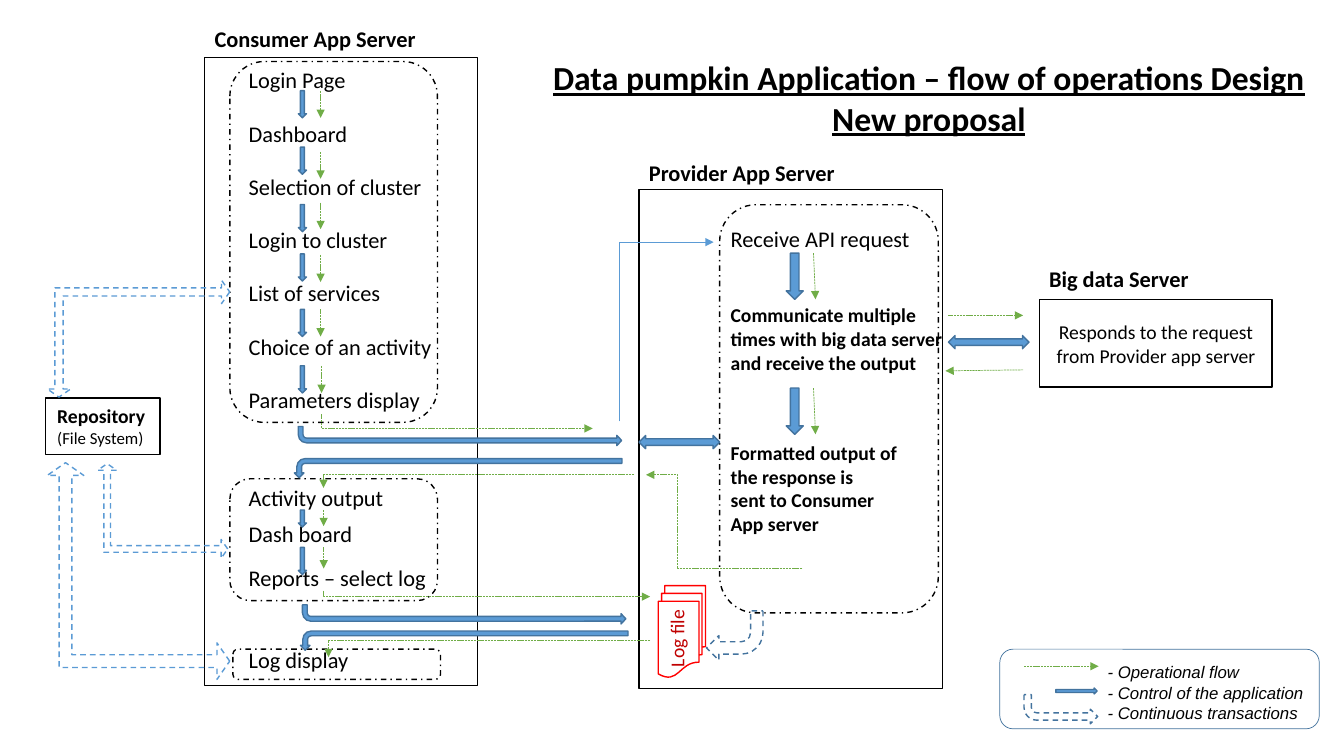
from pptx import Presentation
from pptx import util as u
from pptx.dml.color import RGBColor
from pptx.enum import dml, shapes, text
from pptx.oxml import ns
from lxml import etree

Pt = u.Pt
Kind = shapes.MSO_SHAPE
Dash = dml.MSO_LINE
Side = text.PP_ALIGN
BLACK = RGBColor(0, 0, 0)
BLUE = RGBColor(0x5B, 0x9B, 0xD5)
NAVY = RGBColor(0x43, 0x73, 0x9E)
GREEN = RGBColor(0x70, 0xAD, 0x47)
RED = RGBColor(0xFF, 0, 0)
MAROON = RGBColor(0xC0, 0, 0)
HOOK = (0.07, 0.1, 0.07)
ELBOW = (0.25, 0.27, 0.25, 0.44)


def label(page, lines, box, size=16, font="Calibri", color=BLACK, bold=False,
          italic=False, line=False, side=Side.LEFT, wrap=False, rot=0):
    note = page.shapes.add_textbox(*map(Pt, box))
    note.rotation = rot
    frame = note.text_frame
    frame.word_wrap = wrap
    for i, item in enumerate(lines):
        words, gap, form = item if isinstance(item, tuple) else (item, 0, {})
        para = frame.paragraphs[0] if i == 0 else frame.add_paragraph()
        para.alignment = side
        para.space_before = Pt(gap)
        run = para.add_run()
        run.text = words
        face = run.font
        face.name = font
        face.size = Pt(form.get("size", size))
        face.bold = form.get("bold", bold)
        face.italic = italic
        face.underline = line
        face.color.rgb = color


def draw(page, kind, box, fill=None, line=BLACK, width=1, dash=None,
         rot=0, flip="", adj=()):
    item = page.shapes.add_shape(kind, *map(Pt, box))
    item.shadow.inherit = False
    item.rotation = rot
    for axis in flip:
        item._element.spPr.xfrm.set("flip" + axis, "1")
    for i, value in enumerate(adj):
        item.adjustments[i] = value
    if fill is None:
        item.fill.background()
    else:
        item.fill.solid()
        item.fill.fore_color.rgb = fill
    item.line.color.rgb = line
    item.line.width = Pt(width)
    if dash:
        item.line.dash_style = dash


def solid(page, kind, box, **form):
    draw(page, kind, box, fill=BLUE, line=NAVY, **form)


def wire(page, start, end, color=GREEN, dash=Dash.SQUARE_DOT, bend=None):
    types = shapes.MSO_CONNECTOR
    kind = types.STRAIGHT if bend is None else types.ELBOW
    link = page.shapes.add_connector(kind, *map(Pt, (*start, *end)))
    link.line.color.rgb = color
    link.line.width = Pt(0.5)
    if dash:
        link.line.dash_style = dash
    props = link._element.spPr
    head = etree.SubElement(link.line._get_or_add_ln(), ns.qn("a:tailEnd"))
    head.set("type", "triangle")
    etree.SubElement(props, ns.qn("a:effectLst"))
    if bend is not None:
        geom = props.find(ns.qn("a:prstGeom"))
        vals = geom.find(ns.qn("a:avLst"))
        if vals is None:
            vals = etree.SubElement(geom, ns.qn("a:avLst"))
        guide = etree.SubElement(vals, ns.qn("a:gd"))
        guide.set("name", "adj1")
        guide.set("fmla", f"val {round(bend * 100000)}")


def title(page, box):
    label(page, ["Data pumpkin Application – flow of operations Design",
                 "New proposal"], box, size=24, bold=True, line=True,
          side=Side.CENTER)


def consumer(page, box):
    x, y, w, h = box
    draw(page, Kind.RECTANGLE, box)
    label(page, ["Consumer App Server"], (x, y - 26.6, 164, 26.6), bold=True)
    steps = [("Login Page", 0)]
    steps += [(name, 18.9) for name in (
        "Dashboard", "Selection of cluster", "Login to cluster",
        "List of services", "Choice of an activity", "Parameters display")]
    steps += [("Activity output", 50.6), ("Dash board", 7),
              ("Reports – select log", 12), ("Log display", 39.2)]
    label(page, [(name, gap, {}) for name, gap in steps],
          (x + 24.4, y + 2.9, 147, 452))
    for left, top, high in ((18, 2.9, 257.8), (18, 301, 87), (20.2, 422.7, 21.6)):
        draw(page, Kind.ROUNDED_RECTANGLE, (x + left, y + top, 148.3, high),
             dash=Dash.DASH_DOT)
    for top, high, start, run, left in (
            (23.8, 19.4, 23.8, 19.4, 82.8), (64.1, 19.4, 67.7, 19, 82.8),
            (105.1, 19.4, 103.7, 19, 82.8), (140.4, 19.4, 141.1, 19.4, 82.8),
            (180, 19.4, 180, 19.4, 82.8), (220.3, 19.4, 220.3, 19.4, 83.5),
            (323.3, 12.2, 323.3, 11.5, 85), (350, 19.4, 350, 15.1, 85)):
        solid(page, Kind.DOWN_ARROW, (x + 66.9, y + top, 5.8, high))
        wire(page, (x + left, y + start), (x + left, y + start + run))


def provider(page, box):
    x, y, w, h = box
    draw(page, Kind.RECTANGLE, box)
    label(page, ["Provider App Server"], (x, y - 25.2, 153.4, 26.6), bold=True)
    big = {"size": 16, "bold": False}
    label(page, [("Receive API request", 0, big),
                 ("Communicate multiple", 37, {}),
                 "times with big data server", "and receive the output",
                 ("Formatted output of", 47.9, {}), "the response is",
                 "sent to Consumer", "App server"],
          (x + 58.3, y + 21.6, 172, 272), size=14, bold=True, wrap=True)
    for top in (45.4, 141.8):
        solid(page, Kind.DOWN_ARROW, (x + 105.1, y + top, 12.2, 33.1))
        wire(page, (x + 124.6, y + top), (x + 126, y + top + 33))
    draw(page, Kind.FLOWCHART_MULTIDOCUMENT,
         (x + 13.7, y + 282.9, 33.8, 65.5), line=RED)
    draw(page, Kind.ROUNDED_RECTANGLE, (x + 57.6, y + 10.8, 156.2, 291.6),
         dash=Dash.DASH_DOT)
    draw(page, Kind.BENT_ARROW, (x + 48.2, y + 300.9, 40.3, 35.3),
         line=NAVY, dash=Dash.DASH, rot=180)
    solid(page, Kind.LEFT_RIGHT_ARROW, (x, y + 175.7, 57.6, 9.4))
    label(page, ["Log file"], (x - 0.7, y + 308.2, 55.4, 24.5), size=14,
          color=MAROON, rot=270)
    wire(page, (x + 116.6, y + 270.7), (x + 5, y + 203.8), bend=0.8)
    wire(page, (x - 14.4, y + 165.6), (x + 53.3, y + 37.6), color=BLUE,
         dash=None, bend=0)


def server(page, box):
    x, y, w, h = box
    draw(page, Kind.RECTANGLE, box)
    label(page, ["Big data Server"], (x, y - 28, 134.6, 26.6), bold=True,
          wrap=True)
    label(page, ["Responds to the request", "from Provider app server"],
          (x + 3.6, y + 11.5, 159.8, 41), size=14, side=Side.CENTER)
    solid(page, Kind.LEFT_RIGHT_ARROW, (x - 64.8, y + 25.9, 57.6, 9.4))
    wire(page, (x - 64.8, y + 11.5), (x - 11.5, y + 11.5))
    wire(page, (x - 11.5, y + 50.4), (x - 67, y + 51.1))


def store(page, box):
    x, y, w, h = box
    draw(page, Kind.RECTANGLE, box)
    label(page, [("Repository", 0, {"size": 14, "bold": True}),
                 "(File System)"], (x + 1.4, y + 0.7, 81.4, 38.9), size=12)
    for left, top, wide, high, flip in (
            (1.4, 46.1, 130.3, 154.8, "H"), (1.4, -84.2, 130.3, 83.5, "HV"),
            (37.4, 46.8, 92.9, 67.7, "H")):
        draw(page, Kind.LEFT_UP_ARROW, (x + left, y + top, wide, high),
             line=BLUE, dash=Dash.DASH, flip=flip, adj=HOOK)


def traffic(page, box):
    x, y, w, h = box
    for left, top in ((0, 8.6), (3, 136)):
        solid(page, Kind.BENT_ARROW, (x + left, y + top, 231, 13.7),
              rot=180, flip="H", adj=ELBOW)
    for left, top in ((107.4, -78.6), (111.7, 44.6)):
        solid(page, Kind.BENT_ARROW, (x + left, y + top, 13.7, 234),
              rot=270, flip="H")
    for x1, y1, x2, y2, bend in (
            (16.7, 0, 210.4, 10, 0), (239.9, 43.1, 18.1, 52.5, 1),
            (18.1, 125.9, w, 130.2, 0), (w, 161.2, 21.7, 173.4, 1)):
        wire(page, (x + x1, y + y1), (x + x2, y + y2), bend=bend)


def legend(page, box):
    x, y, w, h = box
    draw(page, Kind.ROUNDED_RECTANGLE, box, line=NAVY, width=0.5)
    label(page, ["- Operational flow", "- Control of the application",
                 "- Continuous transactions"], (x + 69.9, y + 5.7, 155.5, 51),
          size=12, font="Arial", italic=True)
    wire(page, (x + 17.3, y + 12.2), (x + 70.6, y + 12.2))
    solid(page, Kind.DOWN_ARROW, (x + 52.6, y + 15.1, 4.3, 29.5), rot=270)
    draw(page, Kind.BENT_ARROW, (x + 17.3, y + 32.4, 52.6, 20.9), line=NAVY,
         dash=Dash.DASH, rot=180, flip="H")


def main():
    deck = Presentation()
    deck.slide_width, deck.slide_height = Pt(960), Pt(540)
    page = deck.slides.add_slide(deck.slide_layouts[6])
    consumer(page, (146.2, 41, 195, 448.6))
    provider(page, (456.5, 135.4, 216.7, 356.4))
    server(page, (742.3, 213.8, 166.3, 62.6))
    store(page, (32.4, 284.4, 82, 40.3))
    traffic(page, (213, 296, 251.4, 177))
    title(page, (385.2, 37.4, 556.6, 65.5))
    legend(page, (714.2, 463.7, 228.2, 56.9))
    deck.save("out.pptx")


if __name__ == "__main__":
    main()
